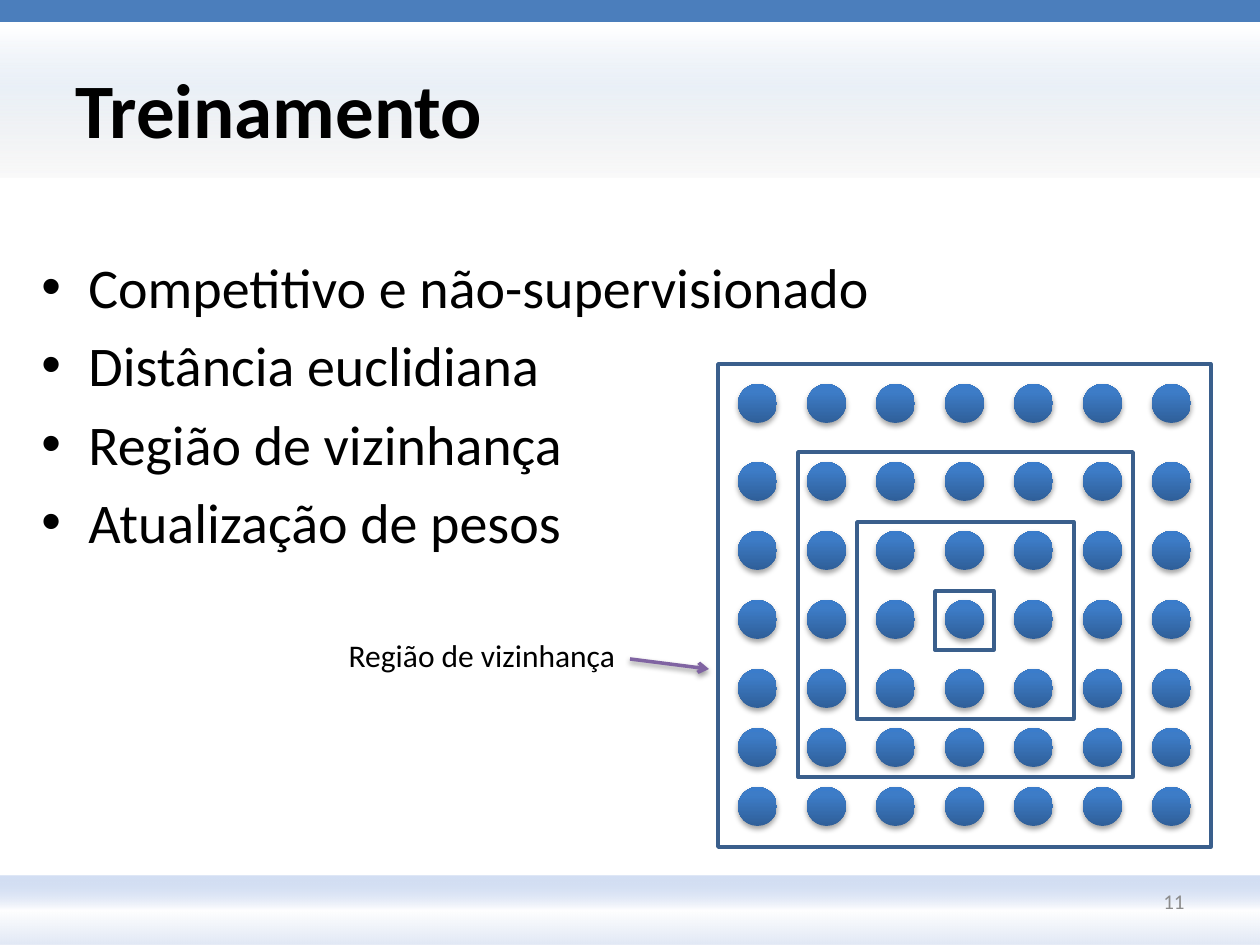
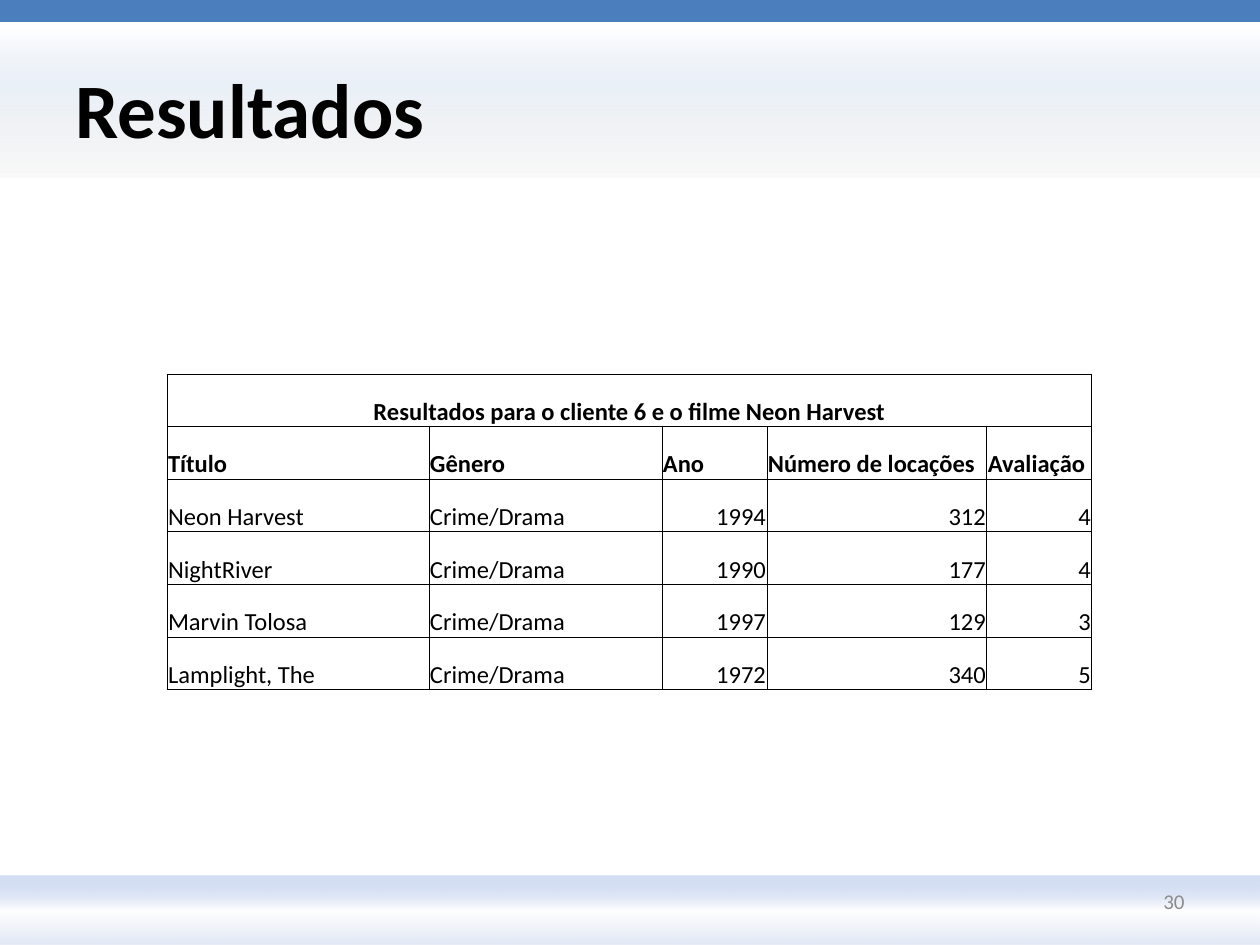
from dataclasses import dataclass
from itertools import accumulate, product

from lxml.etree import SubElement
from pptx import Presentation
from pptx.dml.color import RGBColor
from pptx.enum.shapes import MSO_CONNECTOR, MSO_SHAPE
from pptx.enum.text import MSO_ANCHOR, PP_ALIGN
from pptx.oxml.ns import qn
from pptx.shapes.autoshape import Shape
from pptx.shapes.connector import Connector
from pptx.slide import Slide
from pptx.table import _Cell
from pptx.text.text import _Paragraph
from pptx.util import Emu, Pt

EMU_PER_PX = 914400 / 126


@dataclass(frozen=True)
class Stop:
    position: int
    color: str
    opacity: int = 100


@dataclass(frozen=True)
class Gradient:
    stops: tuple[Stop, ...]
    angle: int


@dataclass(frozen=True)
class Shadow:
    opacity: int
    blur: float
    distance: float


@dataclass(frozen=True)
class Box:
    left: int
    top: int
    width: int
    height: int

    def emu(self) -> tuple[Emu, ...]:
        return tuple(px(n) for n in (self.left, self.top, self.width, self.height))


@dataclass(frozen=True)
class TextStyle:
    size: int
    color: str = "000000"
    bold: bool = False
    align: PP_ALIGN = PP_ALIGN.LEFT
    anchor: MSO_ANCHOR = MSO_ANCHOR.TOP
    bulleted: bool = False


@dataclass(frozen=True)
class Theme:
    font: str = "Calibri"
    bullet_font: str = "Arial"
    top_bar: str = "4B7EBC"
    region: str = "3A5F8C"
    arrow: str = "8064A2"
    grid: str = "000000"
    title: TextStyle = TextStyle(44, bold=True, anchor=MSO_ANCHOR.MIDDLE)
    body: TextStyle = TextStyle(32, bulleted=True)
    label: TextStyle = TextStyle(18, align=PP_ALIGN.CENTER)
    number: TextStyle = TextStyle(12, "8C8C8C", align=PP_ALIGN.RIGHT, anchor=MSO_ANCHOR.MIDDLE)
    cell_size: int = 14
    header: Gradient = Gradient(
        (Stop(16, "FFFFFF"), Stop(50, "DCE6F2", 59), Stop(100, "D9D9D9", 14)), 90)
    footer: Gradient = Gradient(
        (Stop(0, "9AB5E4", 42), Stop(50, "FFFFFF"), Stop(100, "E1E8F5")), 90)
    neuron: Gradient = Gradient(
        (Stop(0, "2F5F99"), Stop(80, "3D7CC7"), Stop(100, "3A7CCB")), 270)
    neuron_shadow: Shadow = Shadow(35, 3.1, 1.8)
    arrow_shadow: Shadow = Shadow(38, 3.1, 1.6)


THEME = Theme()

PAGE_WIDTH, PAGE_HEIGHT = 1260, 945
HEADER = Box(0, 0, PAGE_WIDTH, 178)
FOOTER = Box(0, 876, PAGE_WIDTH, 69)
TITLE = Box(63, 29, 1134, 158)
BODY = Box(29, 246, 1134, 624)
NUMBER = Box(903, 876, 294, 50)
TOP_BAR_Y = 10
BULLET_INDENT = 47

TOPICS = (
    "Competitivo e não-supervisionado",
    "Distância euclidiana",
    "Região de vizinhança",
    "Atualização de pesos",
)
NEURON_SIZE = 39
NEURON_COLUMNS = tuple(738 + 69 * column for column in range(7))
NEURON_ROWS = tuple(accumulate((384, 78, 69, 69, 69, 59, 59)))
REGIONS = (
    Box(718, 364, 493, 483),
    Box(798, 452, 335, 325),
    Box(857, 522, 217, 197),
    Box(935, 591, 59, 59),
)
REGION_LABEL = Box(305, 630, 354, 50)

RESULTS = Box(167, 374, 925, 316)
RESULT_COLUMNS = (262, 233, 105, 220, 105)
RESULT_ROWS = (
    ("Resultados para o cliente 6 e o filme Neon Harvest", "", "", "", ""),
    ("Título", "Gênero", "Ano", "Número de locações", "Avaliação"),
    ("Neon Harvest", "Crime/Drama", "1994", "312", "4"),
    ("NightRiver", "Crime/Drama", "1990", "177", "4"),
    ("Marvin Tolosa", "Crime/Drama", "1997", "129", "3"),
    ("Lamplight, The", "Crime/Drama", "1972", "340", "5"),
)


def px(length: int) -> Emu:
    return Emu(round(length * EMU_PER_PX))


def add_color(parent, color: str, opacity: int = 100) -> None:
    node = SubElement(parent, qn("a:srgbClr"), val=color)
    if opacity < 100:
        SubElement(node, qn("a:alpha"), val=str(opacity * 1000))


def fill_gradient(shape: Shape, gradient: Gradient) -> None:
    fill = SubElement(shape._element.spPr, qn("a:gradFill"), rotWithShape="1")
    stops = SubElement(fill, qn("a:gsLst"))
    for stop in gradient.stops:
        node = SubElement(stops, qn("a:gs"), pos=str(stop.position * 1000))
        add_color(node, stop.color, stop.opacity)
    SubElement(fill, qn("a:lin"), ang=str(gradient.angle * 60000), scaled="0")


def set_shadow(shape: Shape | Connector, shadow: Shadow | None) -> None:
    effects = SubElement(shape._element.spPr, qn("a:effectLst"))
    if shadow:
        node = SubElement(
            effects, qn("a:outerShdw"), blurRad=str(Pt(shadow.blur)),
            dist=str(Pt(shadow.distance)), dir="5400000", rotWithShape="0")
        add_color(node, "000000", shadow.opacity)


def add_gradient_shape(page: Slide, kind: MSO_SHAPE, box: Box, gradient: Gradient,
                       shadow: Shadow | None = None) -> None:
    shape = page.shapes.add_shape(kind, *box.emu())
    fill_gradient(shape, gradient)
    shape.line.fill.background()
    set_shadow(shape, shadow)


def add_region(page: Slide, box: Box) -> None:
    shape = page.shapes.add_shape(MSO_SHAPE.RECTANGLE, *box.emu())
    shape.fill.background()
    shape.line.color.rgb = RGBColor.from_string(THEME.region)
    shape.line.width = Pt(2)
    shape.shadow.inherit = False


def add_line(page: Slide, start: tuple[int, int], end: tuple[int, int], color: str,
             width: float, arrow: bool = False, shadow: Shadow | None = None) -> None:
    line = page.shapes.add_connector(
        MSO_CONNECTOR.STRAIGHT, *(px(n) for n in start + end))
    line.line.color.rgb = RGBColor.from_string(color)
    line.line.width = Pt(width)
    if arrow:
        SubElement(line.line._get_or_add_ln(), qn("a:tailEnd"), type="arrow")
    set_shadow(line, shadow)


def style_paragraph(para: _Paragraph, style: TextStyle) -> None:
    para.alignment = style.align
    if style.bulleted:
        para.space_before = Pt(6.4)
        properties = para._p.get_or_add_pPr()
        properties.set("marL", str(px(BULLET_INDENT)))
        properties.set("indent", str(-px(BULLET_INDENT)))
        SubElement(properties, qn("a:buFont"), typeface=THEME.bullet_font)
        SubElement(properties, qn("a:buChar"), char="•")
    para.font.name = THEME.font
    para.font.size = Pt(style.size)
    para.font.bold = style.bold
    para.font.color.rgb = RGBColor.from_string(style.color)


def add_text(page: Slide, box: Box, style: TextStyle, *lines: str) -> None:
    frame = page.shapes.add_textbox(*box.emu()).text_frame
    frame.word_wrap = True
    frame.vertical_anchor = style.anchor
    frame.text = "\n".join(lines)
    for para in frame.paragraphs:
        style_paragraph(para, style)


def add_page(deck: Presentation, title: str, number: int) -> Slide:
    page = deck.slides.add_slide(deck.slide_layouts[6])
    add_gradient_shape(page, MSO_SHAPE.RECTANGLE, HEADER, THEME.header)
    add_gradient_shape(page, MSO_SHAPE.RECTANGLE, FOOTER, THEME.footer)
    add_line(page, (0, TOP_BAR_Y), (PAGE_WIDTH, TOP_BAR_Y), THEME.top_bar, 14.25)
    add_text(page, TITLE, THEME.title, title)
    add_text(page, NUMBER, THEME.number, str(number))
    return page


def add_training_page(deck: Presentation) -> None:
    page = add_page(deck, "Treinamento", 11)
    add_text(page, BODY, THEME.body, *TOPICS)
    for left, top in product(NEURON_COLUMNS, NEURON_ROWS):
        add_gradient_shape(page, MSO_SHAPE.OVAL, Box(left, top, NEURON_SIZE, NEURON_SIZE),
                           THEME.neuron, THEME.neuron_shadow)
    for region in REGIONS:
        add_region(page, region)
    add_text(page, REGION_LABEL, THEME.label, "Região de vizinhança")
    add_line(page, (630, 659), (709, 669), THEME.arrow, 2, True, THEME.arrow_shadow)


def fill_cell(cell: _Cell, text: str, style: TextStyle) -> None:
    cell.text = text
    cell.vertical_anchor = MSO_ANCHOR.BOTTOM
    cell.margin_left = cell.margin_right = cell.margin_top = px(1)
    cell.margin_bottom = 0
    properties = cell._tc.get_or_add_tcPr()
    for side in ("lnL", "lnR", "lnT", "lnB"):
        border = SubElement(properties, qn(f"a:{side}"), w=str(Pt(0.5)))
        add_color(SubElement(border, qn("a:solidFill")), THEME.grid)
    cell.fill.background()
    style_paragraph(cell.text_frame.paragraphs[0], style)


def add_results_page(deck: Presentation) -> None:
    page = add_page(deck, "Resultados", 30)
    table = page.shapes.add_table(
        len(RESULT_ROWS), len(RESULT_COLUMNS), *RESULTS.emu()).table
    table.first_row = table.horz_banding = False
    for column, width in zip(table.columns, RESULT_COLUMNS):
        column.width = px(width)
    for row, texts in enumerate(RESULT_ROWS):
        for column, text in enumerate(texts):
            align = PP_ALIGN.RIGHT if text.isdigit() else PP_ALIGN.LEFT
            if row == 0:
                align = PP_ALIGN.CENTER
            style = TextStyle(THEME.cell_size, bold=row < 2, align=align)
            fill_cell(table.cell(row, column), text, style)
    table.cell(0, 0).merge(table.cell(0, len(RESULT_COLUMNS) - 1))


def main() -> None:
    """Build the training and results slides."""
    deck = Presentation()
    deck.slide_width, deck.slide_height = px(PAGE_WIDTH), px(PAGE_HEIGHT)
    add_training_page(deck)
    add_results_page(deck)
    deck.save("out.pptx")


if __name__ == "__main__":
    main()
